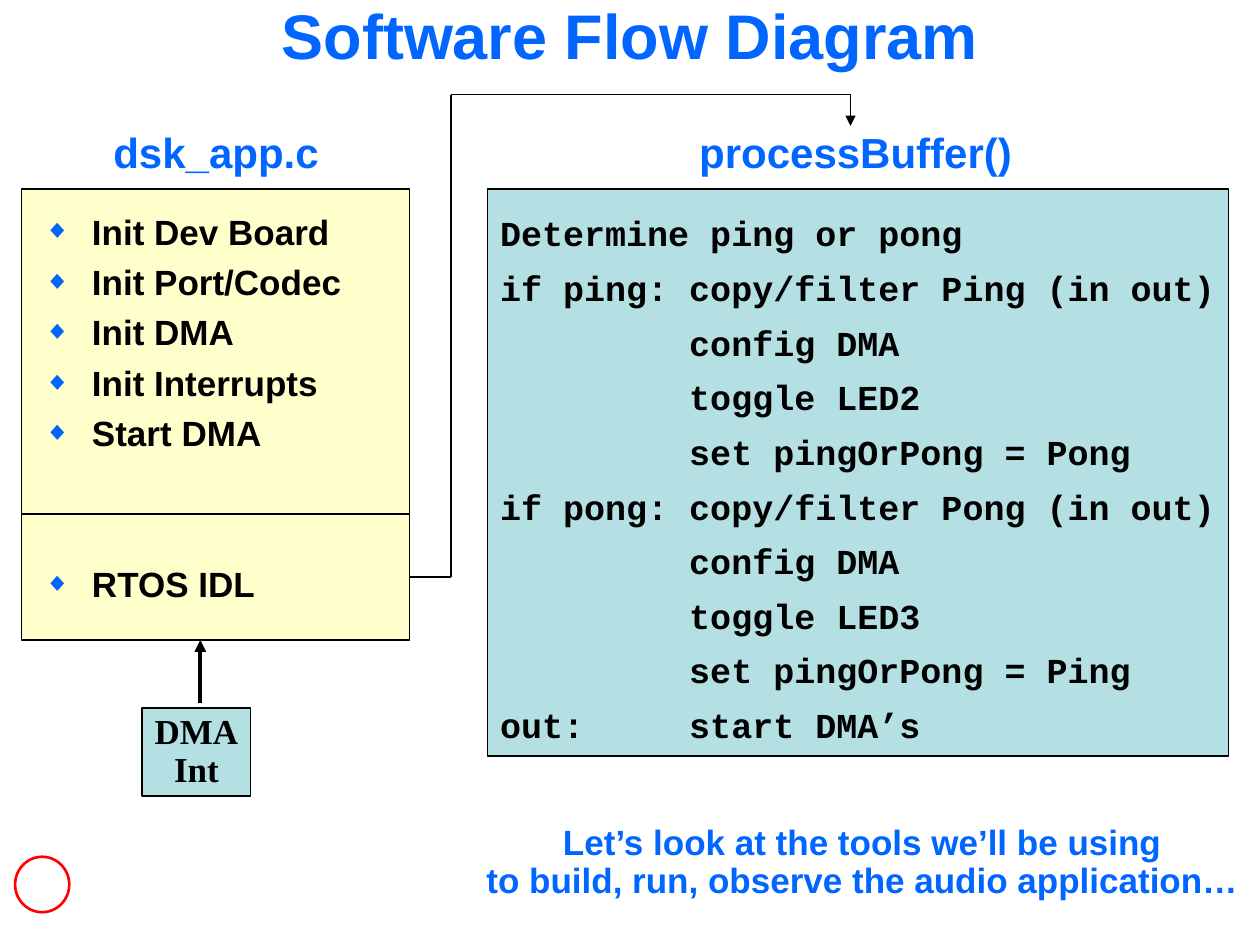
"""Build the software flow diagram slide."""
import itertools

import pptx
import pptx.dml.color
import pptx.enum.shapes
import pptx.enum.text
import pptx.oxml
import pptx.oxml.ns
import pptx.util

Inches = pptx.util.Inches
Pt = pptx.util.Pt
RGB = pptx.dml.color.RGBColor
Shape = pptx.enum.shapes.MSO_SHAPE
Link = pptx.enum.shapes.MSO_CONNECTOR
Align = pptx.enum.text.PP_ALIGN
Anchor = pptx.enum.text.MSO_ANCHOR

BLUE = RGB(0x00, 0x66, 0xFF)
BLACK = RGB(0x00, 0x00, 0x00)
WHITE = RGB(0xFF, 0xFF, 0xFF)
CREAM = RGB(0xFF, 0xFF, 0xCC)
TEAL = RGB(0xB5, 0xE0, 0xE3)
RED = RGB(0xFF, 0x00, 0x00)

STEPS = ["Init Dev Board", "Init Port/Codec", "Init DMA", "Init Interrupts", "Start DMA"]
CODE = [
    "Determine ping or pong",
    "if ping: copy/filter Ping (in out)",
    "         config DMA",
    "         toggle LED2",
    "         set pingOrPong = Pong",
    "if pong: copy/filter Pong (in out)",
    "         config DMA",
    "         toggle LED3",
    "         set pingOrPong = Ping",
    "out:     start DMA’s",
]


def add_tag(parent, xml):
    """Append one DrawingML element, given without its namespace, to a parent."""
    tag, rest = (xml + " ").split(" ", 1)
    space = pptx.oxml.ns.nsdecls("a")
    parent.append(pptx.oxml.parse_xml(f"<a:{tag} {space} {rest}/>"))


def add_mark(para):
    """Give a paragraph a hanging blue diamond bullet."""
    props = para._p.get_or_add_pPr()
    props.set("marL", str(Inches(0.38)))
    props.set("indent", str(Inches(-0.38)))
    color = pptx.oxml.parse_xml(
        f'<a:buClr {pptx.oxml.ns.nsdecls("a")}><a:srgbClr val="{BLUE}"/></a:buClr>')
    props.append(color)
    add_tag(props, 'buSzPct val="75000"')
    add_tag(props, 'buFont typeface="Arial"')
    add_tag(props, 'buChar char="◆"')


def set_text(shape, lines, size, color, font="Arial", space=0.9, align=Align.CENTER,
             anchor=Anchor.MIDDLE, pads=(0.1, 0.05), wrap=False, marks=False):
    """Fill a shape with bold lines in one style."""
    frame = shape.text_frame
    frame.word_wrap = wrap
    frame.vertical_anchor = anchor
    frame.margin_left = frame.margin_right = Inches(pads[0])
    frame.margin_top, frame.margin_bottom = Inches(pads[1]), Inches(0.05)
    for num, line in enumerate(lines):
        para = frame.add_paragraph() if num else frame.paragraphs[0]
        para.text = line
        para.alignment = align
        para.line_spacing = space
        if marks:
            add_mark(para)
        for run in para.runs:
            run.font.name, run.font.size = font, Pt(size)
            run.font.bold = True
            run.font.color.rgb = color


def add_box(slide, box, fill, kind=Shape.RECTANGLE, line=BLACK, width=1):
    """Draw a filled and outlined shape."""
    shape = slide.shapes.add_shape(kind, *map(Inches, box))
    shape.shadow.inherit = False
    shape.fill.solid()
    shape.fill.fore_color.rgb = fill
    shape.line.color.rgb = line
    shape.line.width = Pt(width)
    return shape


def add_label(slide, box, lines, size, **style):
    """Place blue text without a frame."""
    label = slide.shapes.add_textbox(*map(Inches, box))
    set_text(label, lines, size, BLUE, **style)


def add_line(slide, start, end, width=1, arrow=False):
    """Draw a straight line, with an arrowhead at its end if asked."""
    line = slide.shapes.add_connector(Link.STRAIGHT, *map(Inches, (*start, *end)))
    line.line.color.rgb = BLACK
    line.line.width = Pt(width)
    if arrow:
        add_tag(line.line._get_or_add_ln(), 'tailEnd type="triangle"')
    add_tag(line._element.spPr, "effectLst")
    return line


def add_title(slide, box):
    """Move and format the title."""
    title = slide.shapes.title
    title.left, title.top, title.width, title.height = map(Inches, box)
    set_text(title, ["Software Flow Diagram"], 36, BLUE, space=0.75,
             anchor=Anchor.TOP, pads=(0.05, 0.05), wrap=True)


def add_app(slide, box):
    """Draw the main file's start-up steps and idle loop; return the idle box."""
    left, top, width, height = box
    split = 2.58
    style = dict(space=1.2, align=Align.LEFT, anchor=Anchor.TOP, wrap=True, marks=True)
    add_label(slide, (left + 0.63, top - 0.5, 1.83, 0.46), ["dsk_app.c"], 24)
    idle = add_box(slide, (left, top + split, width, height - split), CREAM)
    set_text(idle, ["RTOS IDL"], 20, BLACK, pads=(0.18, 0.32), **style)
    init = add_box(slide, (left, top, width, split), CREAM)
    set_text(init, STEPS, 20, BLACK, pads=(0.18, 0.1), **style)
    return idle


def add_code(slide, box):
    """Draw the buffer routine and its heading."""
    left, top = box[:2]
    add_label(slide, (left + 1.58, top - 0.5, 2.68, 0.46), ["processBuffer()"], 24)
    set_text(add_box(slide, box, TEAL), CODE, 20, BLACK, font="Courier New",
             space=1.3, align=Align.LEFT)


def add_cause(slide, box):
    """Draw the interrupt box with its arrow up to the idle loop."""
    left, top = box[:2]
    set_text(add_box(slide, box, TEAL), ["DMA\vInt"], 20, BLACK, font="Times New Roman")
    add_line(slide, (left + 0.46, top - 0.04), (left + 0.46, top - 0.54), 2.25, True)


def add_route(slide, idle, points):
    """Lead a line from the idle box through the given points."""
    for num, (start, end) in enumerate(itertools.pairwise(points)):
        line = add_line(slide, start, end, arrow=end == points[-1])
        if num == 0:
            line.begin_connect(idle, 3)


def main():
    """Build and save the slide."""
    deck = pptx.Presentation()
    deck.slide_width, deck.slide_height = Inches(10), Inches(7.5)
    slide = deck.slides.add_slide(deck.slide_layouts[5])
    add_title(slide, (0, 0.06, 10, 0.67))
    idle = add_app(slide, (0.17, 1.5, 3.08, 3.58))
    add_code(slide, (3.87, 1.5, 5.88, 4.5))
    add_cause(slide, (1.13, 5.62, 0.86, 0.7))
    add_route(slide, idle, [(3.25, 4.58), (3.58, 4.58), (3.58, 0.75), (6.75, 0.75), (6.75, 1)])
    add_label(slide, (3.76, 6.5, 6.17, 0.7),
              ["Let’s look at the tools we’ll be using\v"
               "to build, run, observe the audio application…"], 20, anchor=Anchor.TOP)
    add_box(slide, (0.12, 6.8, 0.43, 0.44), WHITE, Shape.OVAL, RED, 1.5)
    deck.save("out.pptx")


if __name__ == "__main__":
    main()
